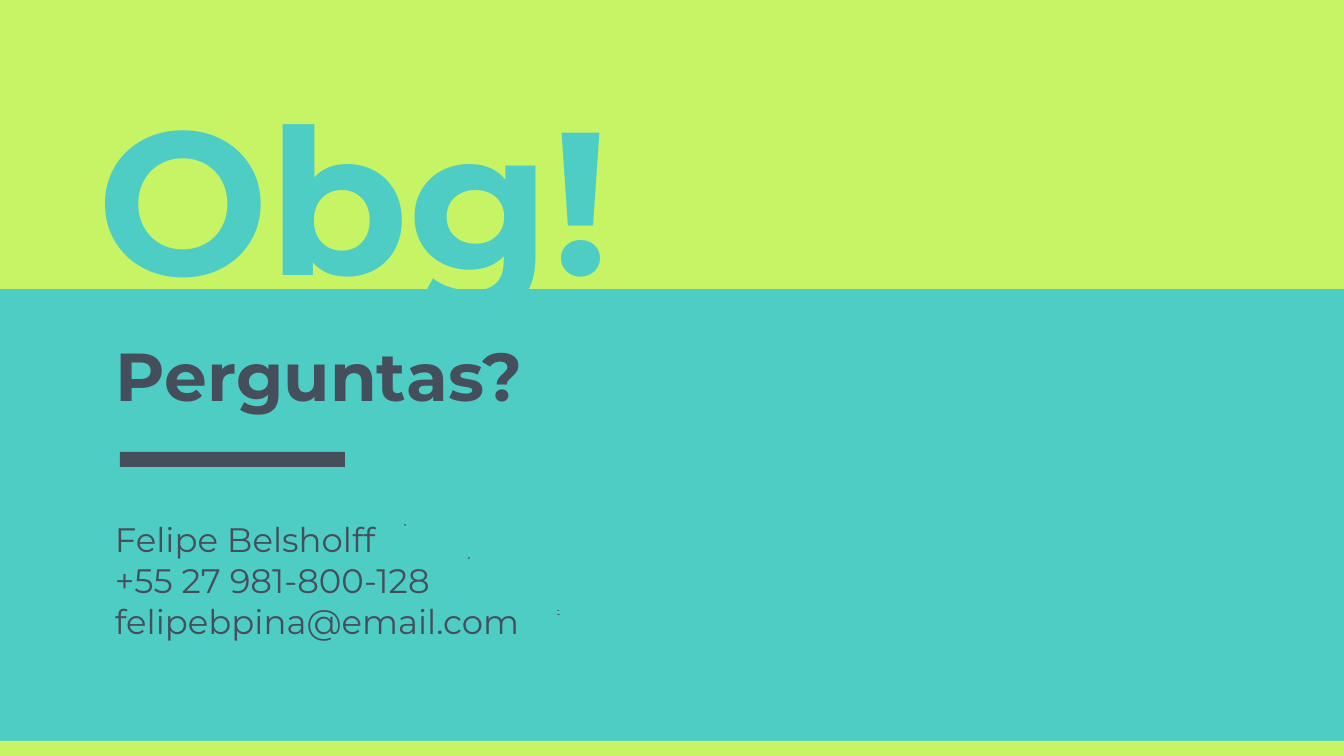
from dataclasses import dataclass

from lxml.etree import SubElement
from pptx import Presentation
from pptx.dml.color import RGBColor
from pptx.enum.shapes import MSO_SHAPE as Shape
from pptx.enum.text import MSO_ANCHOR as Anchor, MSO_AUTO_SIZE as AutoSize, PP_ALIGN as Align
from pptx.oxml.ns import qn
from pptx.util import Emu, Pt

SCALE = 914400 / 122
WIDTH, HEIGHT = 1344, 756
LIME, TEAL, SLATE = "C7F464", "4ECDC4", "454F5B"
FONT = "Montserrat"


@dataclass
class Box:
    x: int
    y: int
    w: int
    h: int


@dataclass
class Bar:
    box: Box
    color: str


@dataclass
class Speck:
    frame: Box
    w: int
    h: int


@dataclass
class TextBlock:
    idx: int
    box: Box
    lines: list[str]
    size: int
    color: str
    bold: bool
    anchor: Anchor


BARS = [
    Bar(Box(0, 741, WIDTH, 15), LIME),
    Bar(Box(0, 0, WIDTH, 289), LIME),
    Bar(Box(120, 452, 225, 15), SLATE),
]
TEXTS = [
    TextBlock(0, Box(85, 157, 992, 171), ["Obg!"], 120, TEAL, True, Anchor.BOTTOM),
    TextBlock(1, Box(104, 322, 739, 92), ["Perguntas?"], 40, SLATE, True, Anchor.TOP),
    TextBlock(2, Box(103, 507, 980, 209),
              ["Felipe Belsholff", "+55 27 981-800-128", "felipebpina@email.com"],
              20, SLATE, False, Anchor.TOP),
]
SPECKS = [
    Speck(Box(557, 610, 57, 18), 2, 1),
    Speck(Box(557, 614, 57, 26), 3, 1),
    Speck(Box(468, 557, 37, 48), 2, 2),
    Speck(Box(404, 524, 48, 37), 2, 2),
]


def px(n: float) -> Emu:
    """Turn pixels into EMU."""
    return Emu(round(n * SCALE))


def paint(fill, color: str) -> None:
    """Give a fill one solid colour."""
    fill.solid()
    fill.fore_color.rgb = RGBColor.from_string(color)


def finish(sp, color: str) -> None:
    """Make a shape flat, in one colour and without outline."""
    paint(sp.fill, color)
    sp.line.fill.background()
    sp.shadow.inherit = False


def add_bar(slide, bar: Bar, layer: int) -> None:
    """Draw a bar behind the text, at its place in the stack."""
    b = bar.box
    sp = slide.shapes.add_shape(Shape.RECTANGLE, px(b.x), px(b.y), px(b.w), px(b.h))
    finish(sp, bar.color)
    slide.shapes.element.insert(2 + layer, sp.element)


def add_speck(slide, speck: Speck) -> None:
    """Draw a tiny diamond in the top left corner of its wider frame."""
    f = speck.frame
    cx, cy = f.x + speck.w / 2, f.y + speck.h / 2
    builder = slide.shapes.build_freeform(px(cx), px(f.y))
    corners = [(f.x + speck.w, cy), (cx, f.y + speck.h), (f.x, cy)]
    builder.add_line_segments([(px(x), px(y)) for x, y in corners])
    sp = builder.convert_to_shape()
    sp.width, sp.height = px(f.w), px(f.h)
    outline = sp.element.find(".//" + qn("a:path"))
    outline.set("w", str(px(f.w)))
    outline.set("h", str(px(f.h)))
    finish(sp, SLATE)


def fill_text(slide, block: TextBlock) -> None:
    """Place a placeholder and write its lines."""
    sp, b = slide.placeholders[block.idx], block.box
    sp.left, sp.top, sp.width, sp.height = px(b.x), px(b.y), px(b.w), px(b.h)
    tf = sp.text_frame
    tf.word_wrap, tf.auto_size = True, AutoSize.NONE
    tf.vertical_anchor = block.anchor
    tf.margin_left = tf.margin_right = tf.margin_top = tf.margin_bottom = px(12)
    for i, line in enumerate(block.lines):
        p = tf.add_paragraph() if i else tf.paragraphs[0]
        p.alignment, p.line_spacing = Align.LEFT, 1.0
        p.space_before = p.space_after = Pt(0)
        pPr = p._p.get_or_add_pPr()
        pPr.set("marL", "0")
        pPr.set("indent", "0")
        SubElement(pPr, qn("a:buNone"))
        r = p.add_run()
        r.text = line
        r.font.name, r.font.size, r.font.bold = FONT, Pt(block.size), block.bold
        r.font.color.rgb = RGBColor.from_string(block.color)


def main() -> None:
    """Build the closing slide and save it."""
    prs = Presentation()
    prs.slide_width, prs.slide_height = px(WIDTH), px(HEIGHT)
    slide = prs.slides.add_slide(prs.slide_layouts[7])
    paint(slide.background.fill, TEAL)
    for layer, bar in enumerate(BARS):
        add_bar(slide, bar, layer)
    for block in TEXTS:
        fill_text(slide, block)
    for speck in SPECKS:
        add_speck(slide, speck)
    prs.save("out.pptx")


if __name__ == "__main__":
    main()
